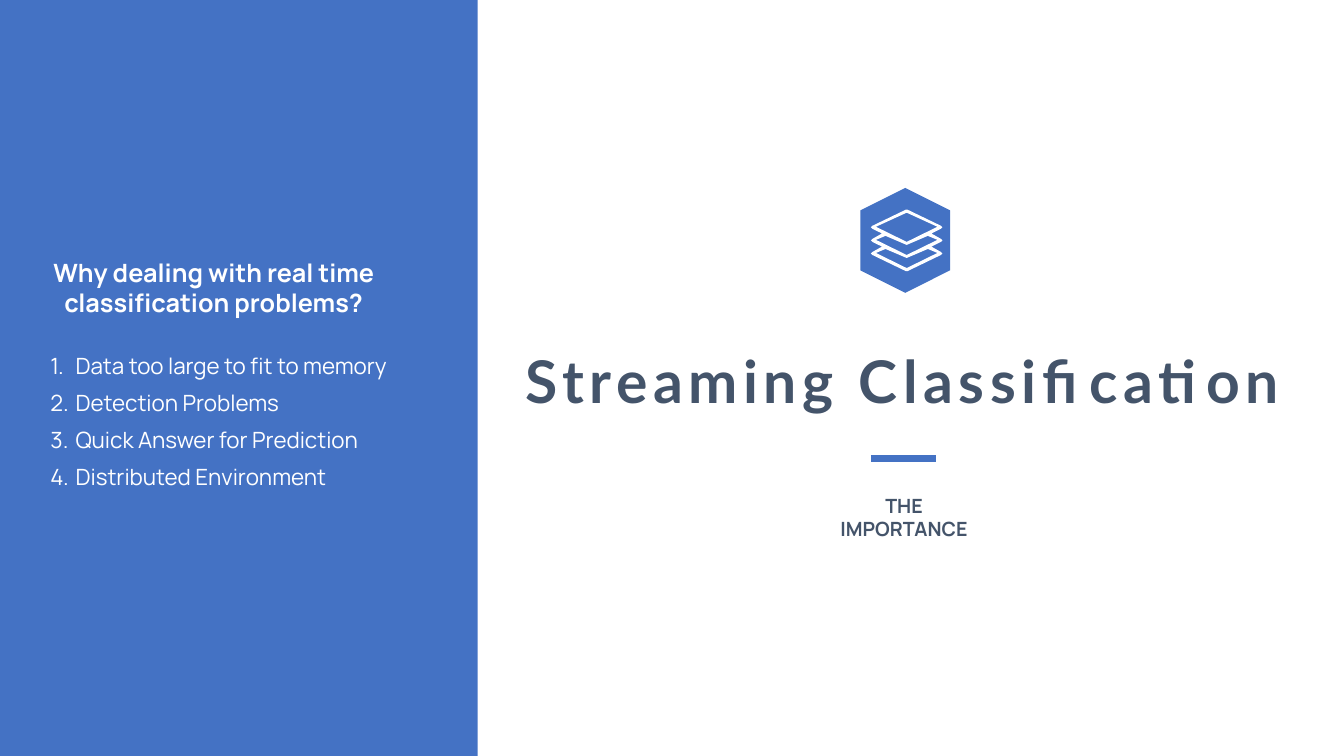
import pptx
import pptx.util
from lxml import etree
from pptx.dml.color import RGBColor
from pptx.enum.shapes import MSO_CONNECTOR, MSO_SHAPE
from pptx.enum.text import MSO_ANCHOR, MSO_AUTO_SIZE, PP_ALIGN
from pptx.oxml.ns import qn

BLUE = RGBColor(0x44, 0x72, 0xC4)
SLATE = RGBColor(0x44, 0x54, 0x6A)
WHITE = RGBColor(0xFF, 0xFF, 0xFF)

COLS, ROWS = 160, 90
CELL = pptx.util.Inches(7.5) / ROWS
LAYER_STEP = 1.56


def grid(*cells):
    """Convert grid cells to slide lengths."""
    return [pptx.util.Emu(round(c * CELL)) for c in cells]


def paint(sp, color):
    """Give a shape a plain fill without line or shadow."""
    sp.shadow.inherit = False
    sp.fill.solid()
    sp.fill.fore_color.rgb = color
    sp.line.fill.background()


def add_block(s, kind, box, color, rotation=0):
    """Add a filled preset shape."""
    sp = s.shapes.add_shape(kind, *grid(*box))
    sp.rotation = rotation
    paint(sp, color)


def add_rule(s, x1, x2, y, color, width):
    """Add a horizontal line."""
    line = s.shapes.add_connector(MSO_CONNECTOR.STRAIGHT, *grid(x1, y, x2, y))
    line.line.color.rgb = color
    line.line.width = pptx.util.Pt(width)
    etree.SubElement(line._element.spPr, qn("a:effectLst"))


def add_text(s, box, lines, size, color, font="Manrope", bold=False, align=PP_ALIGN.CENTER,
             anchor=MSO_ANCHOR.TOP, wrap=True, grow=False, spacing=None, numbered=False):
    """Add a text box with one paragraph per line."""
    tf = s.shapes.add_textbox(*grid(*box)).text_frame
    tf.word_wrap = wrap
    tf.vertical_anchor = anchor
    tf.auto_size = MSO_AUTO_SIZE.SHAPE_TO_FIT_TEXT if grow else MSO_AUTO_SIZE.NONE
    for i, text in enumerate(lines):
        p = tf.paragraphs[0] if i == 0 else tf.add_paragraph()
        p.alignment = align
        r = p.add_run()
        r.text = text
        r.font.name = font
        r.font.size = pptx.util.Pt(size)
        r.font.bold = bold
        r.font.color.rgb = color
        if spacing:
            r._r.get_or_add_rPr().set("spc", str(spacing * 100))
        if numbered:
            number(p, size)
    return tf


def number(p, size):
    """Turn a paragraph into a numbered item with a hanging indent."""
    p.line_spacing = pptx.util.Pt(23.2)
    p.space_before = pptx.util.Pt(size * 0.2)
    indent = pptx.util.Inches(0.25)
    pPr = p._p.get_or_add_pPr()
    pPr.set("marL", str(indent))
    pPr.set("indent", str(-indent))
    etree.SubElement(pPr, qn("a:buFont"), typeface="+mj-lt")
    etree.SubElement(pPr, qn("a:buAutoNum"), type="arabicPeriod")


def mirrored(half):
    """Close a right half outline with its left reflection."""
    return half + [(-x, y) for x, y in reversed(half)]


def add_layers(s, cx, color):
    """Draw three stacked sheets as one outline with openings."""
    steps = [i * LAYER_STEP for i in range(3)]
    edge = [(0.1, 24.96)]
    for d in steps:
        edge += [(4.08, 26.88 + d), (4.26, 27.06 + d), (4.08, 27.24 + d)]
        if d < steps[-1]:
            edge.append((2.94, 27.8 + d))
    edge.append((0.1, 32.28))
    contours = [mirrored(edge), mirrored([(0, 25.32), (3.66, 27), (0, 28.8)])]
    contours += [mirrored([(0, 29.16 + d), (2.52, 28.08 + d), (3.66, 28.56 + d), (0, 30.36 + d)])
                 for d in steps[:2]]
    paths = [[grid(cx + x, y) for x, y in c] for c in contours]
    builder = s.shapes.build_freeform(*paths[0][0], scale=1.0)
    builder.add_line_segments(paths[0][1:], close=True)
    for first, *rest in paths[1:]:
        builder.move_to(*first)
        builder.add_line_segments(rest, close=True)
    paint(builder.convert_to_shape(), color)


def main():
    """Build the slide and save it."""
    prs = pptx.Presentation()
    prs.slide_width, prs.slide_height = grid(COLS, ROWS)
    s = prs.slides.add_slide(prs.slide_layouts[6])

    add_block(s, MSO_SHAPE.RECTANGLE, (0, 0, 56.88, ROWS), BLUE)
    add_rule(s, 103.68, 111.48, 54.6, BLUE, 4.5)
    add_text(s, (58.32, 40.44, 98.28, 9.72), ["Streaming Classification"], 42, SLATE,
             font="Lato", bold=True, wrap=False, grow=True, spacing=4)
    add_text(s, (97.68, 59.52, 19.92, 4.08), ["THE IMPORTANCE"], 14, SLATE,
             bold=True, anchor=MSO_ANCHOR.MIDDLE)
    reasons = ["Data too large to fit to memory", "Detection Problems",
               "Quick Answer for Prediction", "Distributed Environment"]
    tf = add_text(s, (4.56, 40.56, 46.56, 18.6), reasons, 16, WHITE,
                  align=PP_ALIGN.JUSTIFY, grow=True, numbered=True)
    tf.margin_left = tf.margin_right = pptx.util.Inches(0.12)
    tf.margin_top = tf.margin_bottom = pptx.util.Inches(0.06)
    add_text(s, (4.56, 30, 41.76, 8.52), ["Why dealing with real time classification problems?"],
             18, WHITE, bold=True, anchor=MSO_ANCHOR.MIDDLE, grow=True)
    add_block(s, MSO_SHAPE.HEXAGON, (101.52, 23.28, 12.48, 10.68), BLUE, rotation=90)
    add_layers(s, 107.94, WHITE)
    prs.save("out.pptx")


if __name__ == "__main__":
    main()
